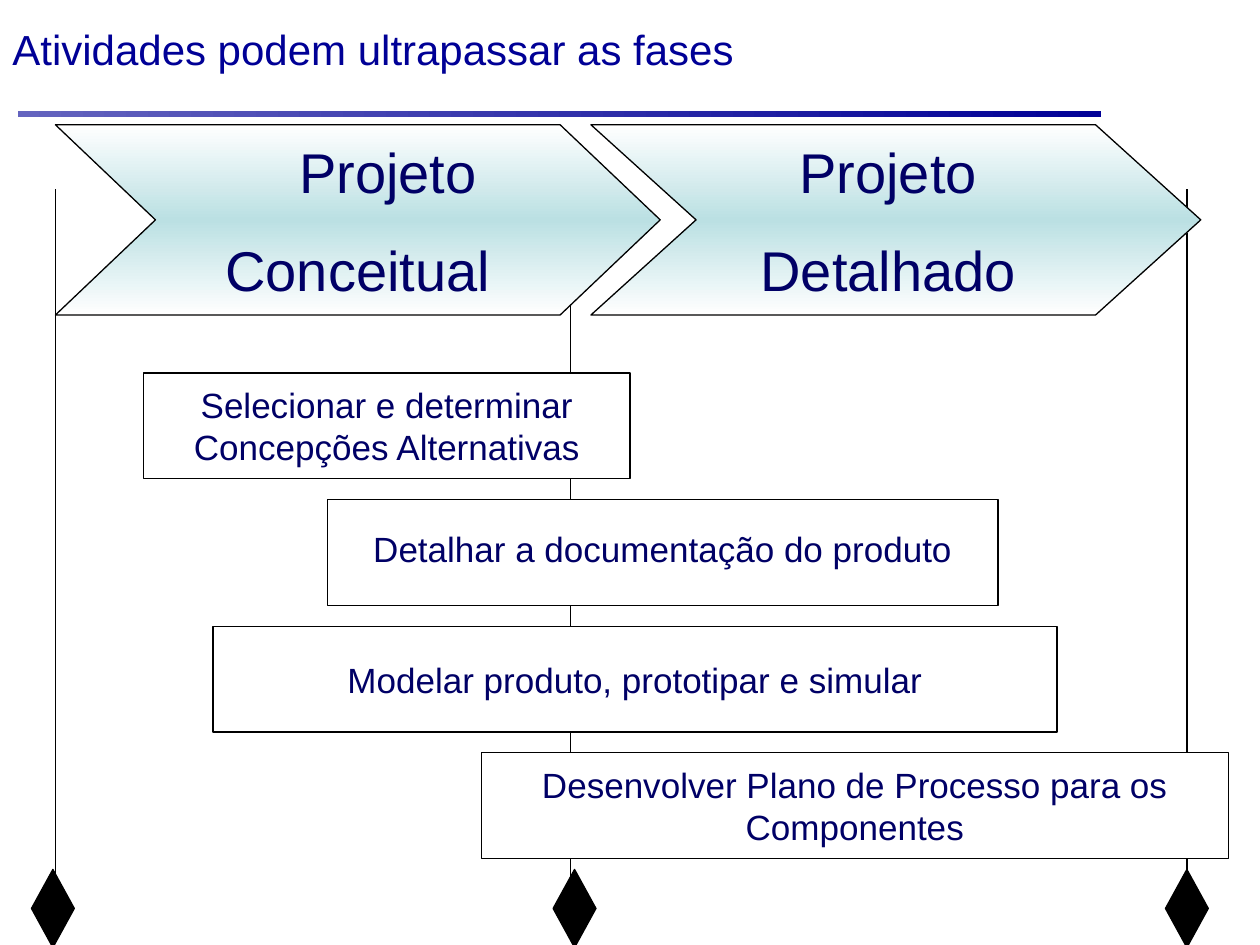
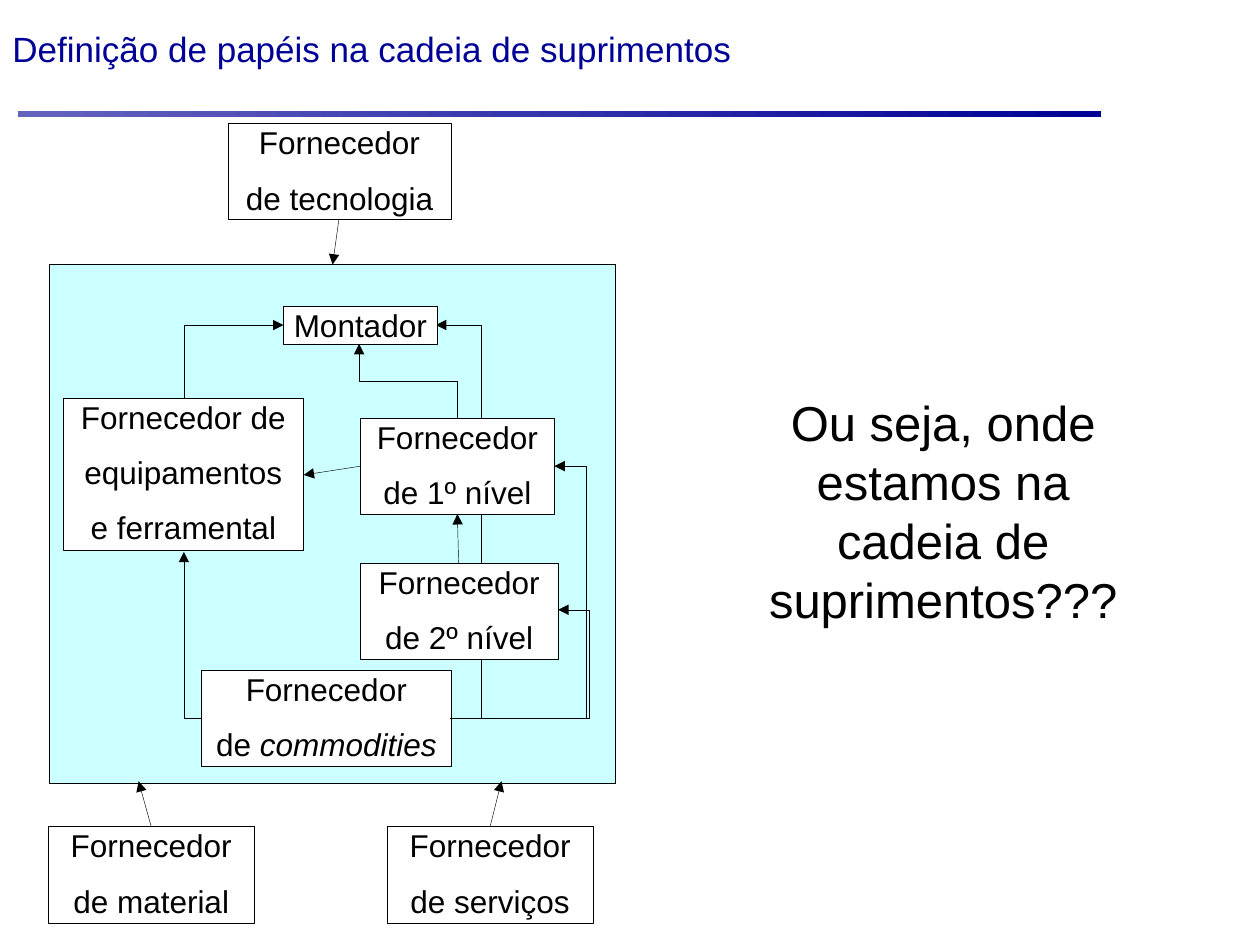
import pptx
import pptx.util
import pptx.dml.color
import pptx.enum.shapes
import pptx.enum.text
import pptx.oxml.ns
import lxml.etree
from dataclasses import dataclass

Inches, Pt = pptx.util.Inches, pptx.util.Pt
SHAPE = pptx.enum.shapes.MSO_SHAPE
LINK = pptx.enum.shapes.MSO_CONNECTOR
ALIGN = pptx.enum.text.PP_ALIGN
ANCHOR = pptx.enum.text.MSO_ANCHOR
qn = pptx.oxml.ns.qn


@dataclass(frozen=True)
class Theme:
    font: str = "Arial"
    title: str = "000096"
    navy: str = "000066"
    black: str = "000000"
    white: str = "FFFFFF"
    cyan: str = "CCFFFF"
    rule_stops: tuple = ((0, "6464BF"), (100, "000096"))
    phase_stops: tuple = ((0, "FFFFFF"), (50, "BBE0E3"), (100, "FFFFFF"))
    phase_size: int = 32
    activity_size: int = 20
    supplier_size: int = 18
    question_size: int = 28
    line: float = 0.75
    thin: float = 0.25


T = Theme()

# Slide 1: title, phases, activities, milestones
PHASES_TITLE = ("Atividades podem ultrapassar as fases", 24)
# left, width, chevron point, lines, (left, right) indent of the first line
PHASES = [
    (0.44, 4.8, 0.526, ["Projeto", "Conceitual"], (0.48, 0)),
    (4.69, 4.84, 0.553, ["Projeto", "Detalhado"], (0, 0.12)),
]
# left, width, text, line spacing
ACTIVITIES = [
    (1.14, 3.86, "Selecionar e determinar Concepções Alternativas", 1.0),
    (2.6, 5.32, "Detalhar a documentação do produto", 0.8),
    (1.69, 6.7, "Modelar produto, prototipar e simular", 1.0),
    (3.82, 5.93, "Desenvolver Plano de Processo para os Componentes", 1.0),
]
ACTIVITY_TOP, ACTIVITY_STEP, ACTIVITY_H = 2.96, 1.005, 0.84
MILESTONES = [(0.44, 0.25), (4.53, 4.39), (9.42, 9.25)]  # line x, diamond left

# Slide 2: title, supplier boxes, arrows, question
CHAIN_TITLE = ("Definição de papéis na cadeia de suprimentos", 20)
CHAIN_FRAME = (0.39, 2.1, 4.49, 4.12)
SUPPLIERS = [
    ((3.07, 6.56, 1.64, 0.77), ["Fornecedor", "de serviços"]),
    ((1.81, 0.98, 1.77, 0.76), ["Fornecedor", "de tecnologia"]),
    ((0.38, 6.56, 1.64, 0.77), ["Fornecedor", "de material"]),
    ((2.25, 2.43, 1.22, 0.3), ["Montador"]),
    ((0.5, 3.16, 1.91, 1.21), ["Fornecedor de", "equipamentos", "e ferramental"]),
    ((1.6, 5.32, 1.98, 0.76), ["Fornecedor", ("de ", "commodities")]),
    ((2.86, 3.32, 1.54, 0.76), ["Fornecedor", "de 1º nível"]),
    ((2.86, 4.47, 1.57, 0.76), ["Fornecedor", "de 2º nível"]),
]
STRAIGHT = [
    ((3.64, 4.47), (3.63, 4.08)),
    ((2.86, 3.7), (2.41, 3.77)),
    ((2.69, 1.74), (2.64, 2.1)),
    ((3.89, 6.56), (3.98, 6.2)),
    ((1.2, 6.56), (1.1, 6.2)),
]
# start, end, x of the middle stretch
SIDE_BEHIND = ((3.57, 5.7), (3.46, 2.58), 3.82)
SIDE = [
    ((3.57, 5.7), (4.4, 3.7), 4.65),
    ((3.57, 5.7), (4.43, 4.84), 4.68),
]
QUESTION = "Ou seja, onde estamos na cadeia de suprimentos???"


def rgb(value):
    return pptx.dml.color.RGBColor.from_string(value)


def gradient(sp, stops, angle):
    sp.fill.gradient()
    sp.fill.gradient_angle = angle
    gs_list = sp._element.spPr.find(".//" + qn("a:gsLst"))
    for gs in list(gs_list):
        gs_list.remove(gs)
    for pos, color in stops:
        gs = lxml.etree.SubElement(gs_list, qn("a:gs"), pos=str(pos * 1000))
        lxml.etree.SubElement(gs, qn("a:srgbClr"), val=color)


def add_box(slide, kind, box, fill=T.white, width=T.line):
    """Shape with a solid fill (or gradient stops) and a black outline."""
    sp = slide.shapes.add_shape(kind, *map(Inches, box))
    sp.shadow.inherit = False
    if isinstance(fill, str):
        sp.fill.solid()
        sp.fill.fore_color.rgb = rgb(fill)
    else:
        gradient(sp, fill, 90)
    sp.line.color.rgb = rgb(T.black)
    sp.line.width = Pt(width)
    return sp


def write(sp, lines, size, color, align=ALIGN.CENTER, anchor=ANCHOR.MIDDLE,
          indent=(0, 0), spacing=None):
    """One paragraph per line; the second part of a tuple is italic."""
    tf = sp.text_frame
    tf.word_wrap = True
    tf.vertical_anchor = anchor
    for i, line in enumerate(lines):
        p = tf.add_paragraph() if i else tf.paragraphs[0]
        for j, text in enumerate([line] if isinstance(line, str) else line):
            r = p.add_run()
            r.text = text
            if j:
                r.font.italic = True
        p.alignment = align
        if i:
            p.space_before = Pt(size * 0.55)
        elif any(indent):
            pPr = p._p.get_or_add_pPr()
            for side, value in zip(("marL", "marR"), indent):
                pPr.set(side, str(Inches(value)))
        if spacing:
            p.line_spacing = spacing
        p.font.name, p.font.size = T.font, Pt(size)
        p.font.color.rgb = rgb(color)


def add_line(slide, start, end, width=T.thin, kind=LINK.STRAIGHT, arrow=True):
    c = slide.shapes.add_connector(kind, *map(Inches, (*start, *end)))
    c.line.color.rgb = rgb(T.black)
    c.line.width = Pt(width)
    if arrow:
        lxml.etree.SubElement(c.line._get_or_add_ln(), qn("a:tailEnd"), type="triangle")
    lxml.etree.SubElement(c._element.spPr, qn("a:effectLst"))
    return c


def add_side_arrow(slide, start, end, middle_x):
    """Elbow that leaves sideways and turns at middle_x."""
    c = add_line(slide, start, end, kind=LINK.ELBOW)
    c.adjustments = None
    bend = (middle_x - start[0]) / (end[0] - start[0])
    av = c._element.spPr.prstGeom.get_or_add_avLst()
    lxml.etree.SubElement(av, qn("a:gd"), name="adj1", fmla=f"val {round(bend * 100000)}")


def add_corner_arrow(slide, start, end):
    """Elbow with a single turn, leaving sideways."""
    c = add_line(slide, start, end, kind=LINK.ELBOW)
    c._element.spPr.prstGeom.set("prst", "bentConnector2")
    return c


def add_upward_arrow(slide, start, end, make):
    """Elbow that leaves upwards: laid out sideways, then turned by 270 degrees."""
    cx, cy = (start[0] + end[0]) / 2, (start[1] + end[1]) / 2
    rise, run = (start[1] - end[1]) / 2, (end[0] - start[0]) / 2
    c = make(slide, (cx - rise, cy - run), (cx + rise, cy + run))
    c._element.spPr.xfrm.set("rot", str(270 * 60000))


def add_slide(prs, title, size):
    """Blank slide with the shared rule and title."""
    slide = prs.slides.add_slide(prs.slide_layouts[6])
    rule = add_box(slide, SHAPE.RECTANGLE, (0.14, 0.88, 8.6, 0.05))
    gradient(rule, T.rule_stops, 0)
    rule.line.fill.background()
    sp = slide.shapes.add_textbox(0, 0, Inches(8.08), Inches(0.77))
    write(sp, [title], size, T.title, align=ALIGN.LEFT)
    return slide


def build_phases(prs):
    slide = add_slide(prs, *PHASES_TITLE)
    for x, _ in MILESTONES:
        add_line(slide, (x, 7.14), (x, 1.5), T.line, arrow=False)
    for left, width, point, lines, indent in PHASES:
        sp = add_box(slide, SHAPE.CHEVRON, (left, 0.99, width, 1.51), T.phase_stops)
        sp.adjustments[0] = point
        write(sp, lines, T.phase_size, T.navy, indent=indent)
    for i, (left, width, text, spacing) in enumerate(ACTIVITIES):
        top = ACTIVITY_TOP + i * ACTIVITY_STEP
        sp = add_box(slide, SHAPE.RECTANGLE, (left, top, width, ACTIVITY_H))
        write(sp, [text], T.activity_size, T.navy, spacing=spacing)
    for _, left in MILESTONES:
        add_box(slide, SHAPE.DIAMOND, (left, 6.9, 0.34, 0.62), T.black)


def build_chain(prs):
    slide = add_slide(prs, *CHAIN_TITLE)
    add_box(slide, SHAPE.RECTANGLE, CHAIN_FRAME, T.cyan, T.thin)
    add_side_arrow(slide, *SIDE_BEHIND)
    # Supplier boxes
    for box, lines in SUPPLIERS:
        sp = add_box(slide, SHAPE.RECTANGLE, box, width=T.thin)
        tf = sp.text_frame
        tf.margin_left = tf.margin_right = Inches(0.05)
        tf.margin_top = tf.margin_bottom = 0
        write(sp, lines, T.supplier_size, T.black, anchor=ANCHOR.TOP)
    # Arrows
    for start, end in STRAIGHT:
        add_line(slide, start, end)
    for arrow in SIDE:
        add_side_arrow(slide, *arrow)
    add_corner_arrow(slide, (1.6, 5.7), (1.46, 4.38))
    add_upward_arrow(slide, (1.46, 3.16), (2.25, 2.58), add_corner_arrow)
    add_upward_arrow(slide, (3.63, 3.32), (2.85, 2.73),
                     lambda *ends: add_line(*ends, kind=LINK.ELBOW))
    # Question
    sp = slide.shapes.add_textbox(*map(Inches, (5.81, 3.07, 3.35, 1.97)))
    write(sp, [QUESTION], T.question_size, T.black, anchor=ANCHOR.TOP)


def main():
    prs = pptx.Presentation()
    prs.slide_width, prs.slide_height = Inches(10), Inches(7.5)
    build_phases(prs)
    build_chain(prs)
    prs.save("out.pptx")


if __name__ == "__main__":
    main()
